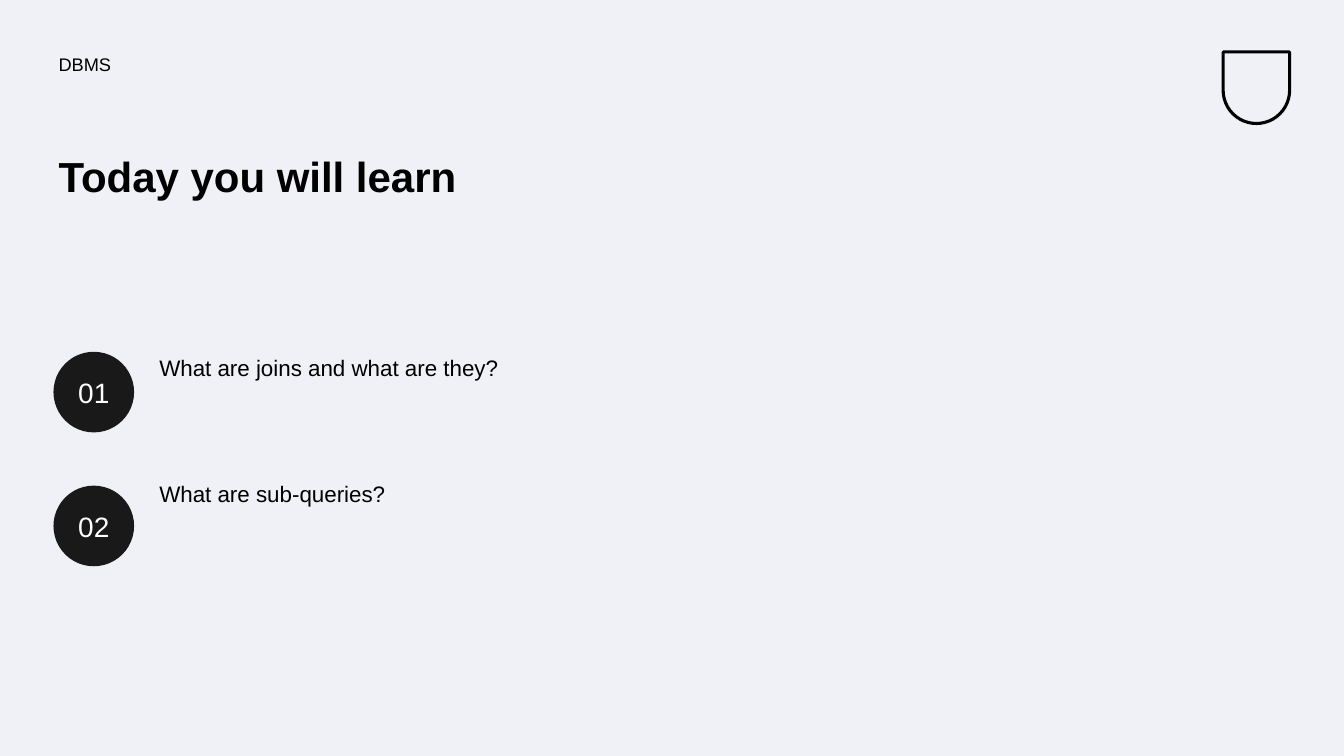
from pptx import Presentation
from pptx.dml.color import RGBColor
from pptx.enum import shapes, text
from pptx.util import Pt

BACKGROUND = RGBColor(0xF0, 0xF1, 0xF6)
BLACK = RGBColor(0, 0, 0)
CHARCOAL = RGBColor(0x19, 0x19, 0x19)
WHITE = RGBColor(0xFE, 0xFF, 0xFF)
FONT = "Arial"

COURSE = "DBMS"
TITLE = "Today you will learn"
TOPICS = [("01", "What are joins and what are they?"), ("02", "What are sub-queries?")]

LEFT = 38.2
TOPIC_LEFT = 110.2
TOPIC_TOP = 251.3
TOPIC_STEP = 90
BADGE_STEP = 95.6
BADGE_SIZE = 57.6
INSET = 3.6


def write(shape, words, size, color, bold=False):
    frame = shape.text_frame
    frame.word_wrap = True
    frame.margin_left = frame.margin_right = Pt(INSET)
    frame.margin_top = frame.margin_bottom = Pt(INSET)
    frame.text = words
    para = frame.paragraphs[0]
    font = para.runs[0].font
    font.name, font.size, font.bold = FONT, Pt(size), bold
    font.color.rgb = color
    return para


def add_text(page, words, left, top, width, height, size, bold=False):
    box = page.shapes.add_textbox(Pt(left), Pt(top), Pt(width), Pt(height))
    write(box, words, size, BLACK, bold).line_spacing = 0.9


def add_badge(page, number, top):
    badge = page.shapes.add_shape(
        shapes.MSO_SHAPE.OVAL, Pt(LEFT), Pt(top), Pt(BADGE_SIZE), Pt(BADGE_SIZE))
    badge.shadow.inherit = False
    badge.fill.solid()
    badge.fill.fore_color.rgb = CHARCOAL
    badge.line.fill.background()
    write(badge, number, 20, WHITE).alignment = text.PP_ALIGN.CENTER
    badge.text_frame.vertical_anchor = text.MSO_ANCHOR.MIDDLE


def add_shield(page):
    shield = page.shapes.add_shape(
        shapes.MSO_SHAPE.ROUND_2_SAME_RECTANGLE, Pt(873.7), Pt(37.1), Pt(47.5), Pt(51.1))
    shield.adjustments[0] = 0
    shield.adjustments[1] = 0.5
    shield.shadow.inherit = False
    shield.fill.background()
    shield.line.color.rgb = BLACK
    shield.line.width = Pt(2.2)


def main():
    deck = Presentation()
    deck.slide_width, deck.slide_height = Pt(960), Pt(540)
    page = deck.slides.add_slide(deck.slide_layouts[6])
    page.background.fill.solid()
    page.background.fill.fore_color.rgb = BACKGROUND

    add_shield(page)
    add_text(page, COURSE, LEFT, 36, 442, 36, 13)
    add_text(page, TITLE, LEFT, 108, 406, 107.3, 30, True)
    for row, (number, topic) in enumerate(TOPICS):
        add_text(page, topic, TOPIC_LEFT, TOPIC_TOP + row * TOPIC_STEP, 333.4, 71.3, 16)
        add_badge(page, number, TOPIC_TOP + row * BADGE_STEP)

    deck.save("out.pptx")


if __name__ == "__main__":
    main()
